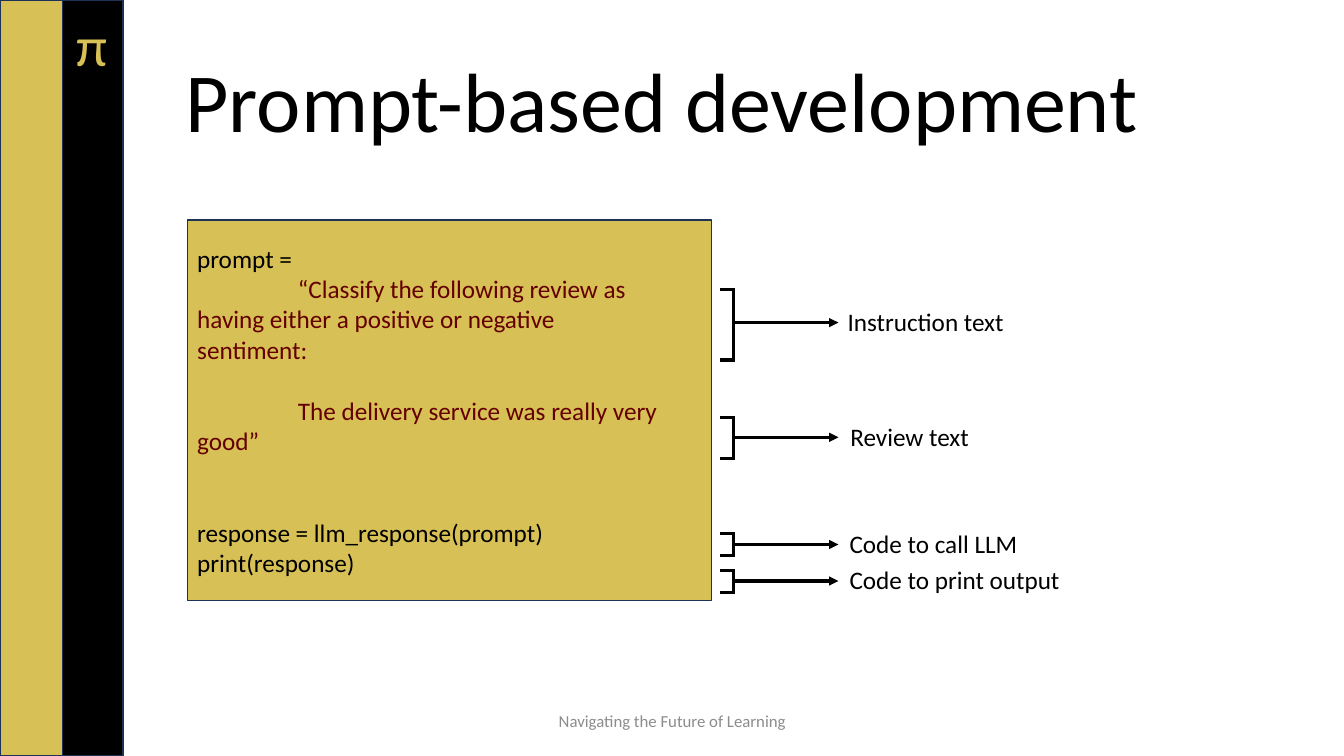
from lxml.etree import SubElement
from pptx import Presentation
from pptx.dml.color import RGBColor as Rgb
from pptx.enum.shapes import MSO_CONNECTOR as Link, MSO_SHAPE as Form
from pptx.enum.text import MSO_ANCHOR as Anchor, MSO_AUTO_SIZE as Fit, PP_ALIGN as Align
from pptx.oxml.ns import qn
from pptx.util import Cm, Pt

GOLD, BLACK, NAVY, RED, GREY = "D7C055", "000000", "1E3256", "640000", "8C8C8C"
TALL = 19.05
LINE = 22
LEFT, SPINE, TIP = 18.14, 18.49, 21.13


def tint(code):
    """Turn a hex string into a colour."""
    return Rgb.from_string(code)


def write(frame, text, size=18, color=BLACK, align=Align.LEFT, before=0,
          indent=0, pitch=None, first=True):
    """Write one formatted paragraph into a text frame."""
    para = frame.paragraphs[0] if first else frame.add_paragraph()
    para.alignment = align
    if before:
        para.space_before = Pt(before)
    if pitch:
        para.line_spacing = pitch
    if indent:
        para._p.get_or_add_pPr().set("indent", str(Cm(indent)))
    para.text = text
    for run in para.runs:
        run.font.name = "Calibri"
        run.font.size = Pt(size)
        run.font.color.rgb = tint(color)


def block(slide, x, y, wide, high, fill):
    """Add a filled box with a thin navy outline."""
    box = slide.shapes.add_shape(Form.RECTANGLE, Cm(x), Cm(y), Cm(wide), Cm(high))
    box.shadow.inherit = False
    box.fill.solid()
    box.fill.fore_color.rgb = tint(fill)
    box.line.color.rgb = tint(NAVY)
    box.line.width = Pt(1)
    return box


def label(slide, text, x, y, wide, high, fit=Fit.SHAPE_TO_FIT_TEXT,
          anchor=Anchor.TOP, **style):
    """Add a wrapped text box."""
    frame = slide.shapes.add_textbox(Cm(x), Cm(y), Cm(wide), Cm(high)).text_frame
    frame.word_wrap = True
    frame.auto_size = fit
    frame.vertical_anchor = anchor
    write(frame, text, **style)


def stroke(group, x1, y1, x2, y2, arrow=False):
    """Draw a straight black line, with an arrowhead if asked."""
    line = group.shapes.add_connector(Link.STRAIGHT, Cm(x1), Cm(y1), Cm(x2), Cm(y2))
    line.line.color.rgb = tint(BLACK)
    line.line.width = Pt(2.25)
    if arrow:
        SubElement(line.line._get_or_add_ln(), qn("a:tailEnd"), type="triangle")
    SubElement(line._element.spPr, qn("a:effectLst"))


def brace(slide, top, base, mid):
    """Draw a square bracket with an arrow to its label."""
    group = slide.shapes.add_group_shape()
    stroke(group, SPINE, top, SPINE, base)
    for y in (top, base):
        stroke(group, SPINE + 0.03, y, LEFT, y)
    stroke(group, SPINE, mid, TIP, mid, arrow=True)


def head(slide, text):
    """Place and format the slide title."""
    title = slide.shapes.title
    title.left, title.top, title.width, title.height = Cm(4.42), Cm(0.48), Cm(27.18), Cm(3.45)
    frame = title.text_frame
    frame.word_wrap = True
    frame.auto_size = Fit.NONE
    frame.vertical_anchor = Anchor.BOTTOM
    write(frame, text, size=60, pitch=0.9)


def code(slide):
    """Add the gold box with the prompt code."""
    frame = block(slide, 4.72, 5.54, 13.21, 9.6, GOLD).text_frame
    frame.word_wrap = True
    frame.vertical_anchor = Anchor.MIDDLE
    quote = {"color": RED, "indent": 2.54, "first": False}
    write(frame, "prompt =")
    write(frame, "“Classify the following review as\vhaving either a positive "
          "or negative\vsentiment:", **quote)
    write(frame, "The delivery service was really very\vgood”", before=LINE, **quote)
    write(frame, "response = llm_response(prompt)", before=2 * LINE, first=False)
    write(frame, "print(response)", first=False)


def main():
    """Build and save the slide."""
    deck = Presentation()
    deck.slide_width, deck.slide_height = Cm(33.87), Cm(TALL)
    slide = deck.slides.add_slide(deck.slide_layouts[5])
    block(slide, 0, 0, 3.12, TALL, GOLD)
    block(slide, 1.57, 0, 1.52, TALL, BLACK)
    label(slide, "π", 1.68, 0.13, 1.22, 1.96, size=40, color=GOLD)
    head(slide, "Prompt-based development")
    code(slide)
    notes = [
        ("Instruction text", 21.11, 7.59, 7.29, 9.07),
        ("Review text", 21.18, 10.48, 10.52, 11.56),
        ("Code to call LLM", 21.16, 13.18, 13.44, 14),
        ("Code to print output", 21.16, 14.1, 14.38, 14.94),
    ]
    for text, x, y, top, base in notes:
        label(slide, text, x, y, 7.42, 1.02)
        brace(slide, top, base, y + 0.54)
    label(slide, "Navigating the Future of Learning", 11.23, 17.65, 11.43, 1.02,
          fit=Fit.NONE, anchor=Anchor.MIDDLE, size=12, color=GREY, align=Align.CENTER)
    deck.save("out.pptx")


if __name__ == "__main__":
    main()
